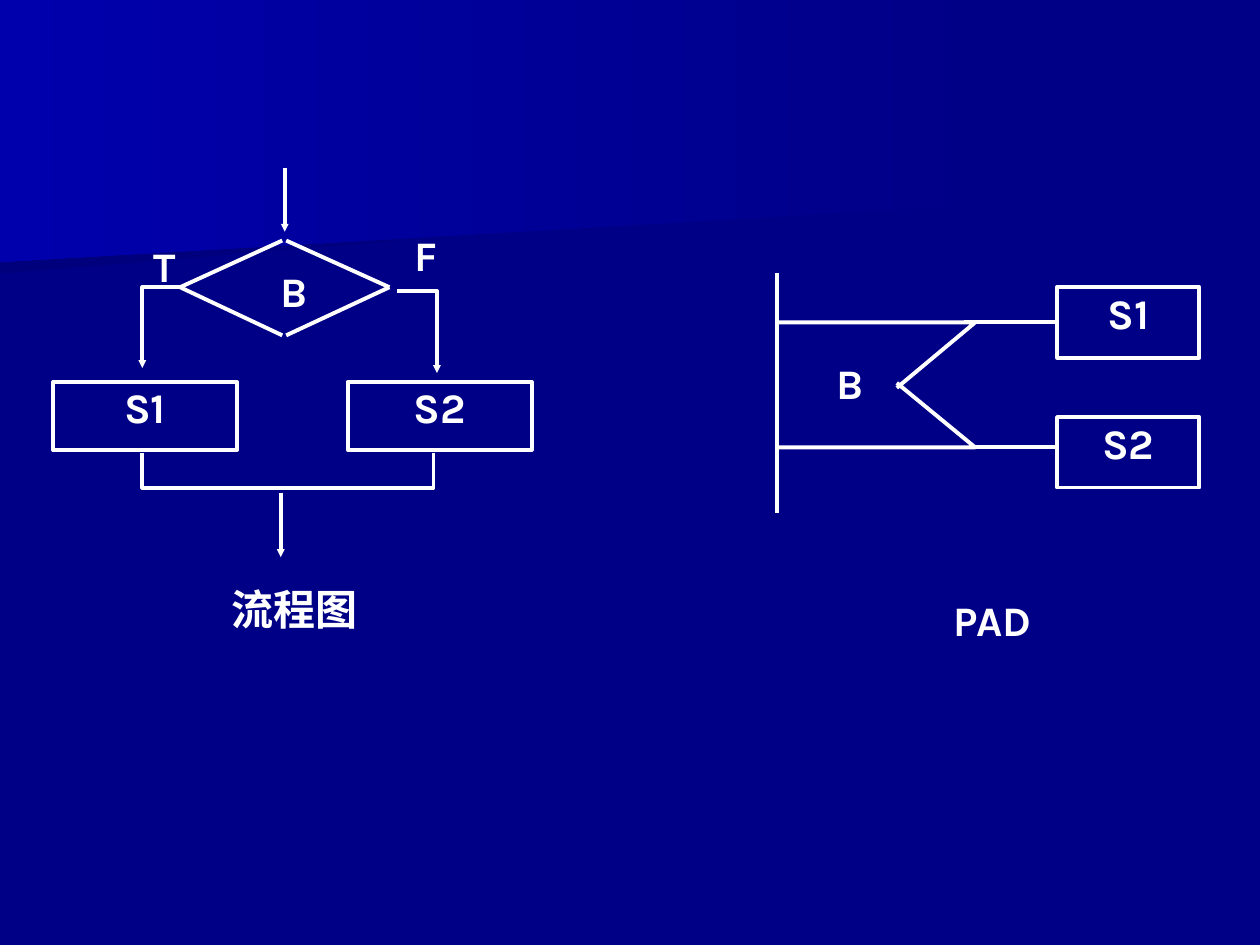
import pptx
import pptx.util
import pptx.dml.color
import pptx.enum.shapes
import pptx.enum.text
import pptx.oxml
import pptx.oxml.ns

Cm = pptx.util.Cm
Pt = pptx.util.Pt
RGB = pptx.dml.color.RGBColor
Align = pptx.enum.text.PP_ALIGN
Fit = pptx.enum.text.MSO_AUTO_SIZE
NAVY = RGB(0x00, 0x00, 0x86)
DARK = RGB(0x00, 0x00, 0x7D)
BLUE = RGB(0x00, 0x00, 0xAC)
WHITE = RGB(0xFF, 0xFF, 0xFF)


def ink(item, arrow=False):
    item.line.color.rgb = WHITE
    item.line.width = Pt(2.25)
    if arrow:
        ln = item.element.spPr.find(pptx.oxml.ns.qn("a:ln"))
        head = pptx.oxml.parse_xml(
            f'<a:tailEnd {pptx.oxml.ns.nsdecls("a")} type="triangle" w="sm" len="sm"/>')
        ln.append(head)


def write(item, text, align, pad=(0, 0)):
    frame = item.text_frame
    frame.word_wrap = True
    frame.vertical_anchor = pptx.enum.text.MSO_ANCHOR.TOP
    frame.margin_left = frame.margin_right = Cm(pad[0])
    frame.margin_top = frame.margin_bottom = Cm(pad[1])
    line = frame.paragraphs[0]
    line.text = text
    line.alignment = align
    line.font.name = "Karla"
    line.font.size = Pt(24)
    line.font.bold = True
    line.font.color.rgb = WHITE


deck = pptx.Presentation()
deck.slide_width, deck.slide_height = Cm(25.4), Cm(19.05)
slide = deck.slides.add_slide(deck.slide_layouts[6])
slide.background.fill.solid()
slide.background.fill.fore_color.rgb = NAVY
shapes = slide.shapes

bands = [
    ([(19.76, 3.89), (0, 5.51), (0, 2.57), (19.79, 2.57), (19.76, 3.25)], DARK),
    ([(20.12, 4.11), (0, 5.28), (0, 0), (20.12, 0)], BLUE),
]
for spots, tone in bands:
    spots = [(Cm(x), Cm(y)) for x, y in spots]
    pen = shapes.build_freeform(*spots[0])
    pen.add_line_segments(spots[1:], close=True)
    band = pen.convert_to_shape()
    band.shadow.inherit = False
    band.line.fill.background()
    band.fill.gradient()
    band.fill.gradient_angle = 180
    for stop, shade, place in zip(band.fill.gradient_stops, (NAVY, tone), (0, 1)):
        stop.color.rgb = shade
        stop.position = place

paths = [
    ([(3.71, 5.79), (2.87, 5.79), (2.87, 7.42)], True),
    ([(8, 5.87), (8.81, 5.87), (8.81, 7.52)], True),
    ([(2.87, 9.14), (2.87, 9.83), (8.74, 9.83), (8.74, 9.14)], False),
    ([(15.67, 9.02), (19.66, 9.02), (18.08, 7.72)], False),
    ([(15.67, 6.5), (19.66, 6.5), (18.08, 7.82)], False),
]
for spots, arrow in paths:
    spots = [(Cm(x), Cm(y)) for x, y in spots]
    pen = shapes.build_freeform(*spots[0])
    pen.add_line_segments(spots[1:], close=False)
    path = pen.convert_to_shape()
    path.shadow.inherit = False
    path.fill.background()
    ink(path, arrow)

boxes = []
for text, x, y, w, h in [
    ("S1", 1.07, 7.7, 3.71, 1.37),
    ("S2", 7.01, 7.7, 3.71, 1.37),
    ("S2", 21.31, 8.41, 2.87, 1.42),
    ("S1", 21.31, 5.79, 2.87, 1.42),
]:
    box = shapes.add_shape(
        pptx.enum.shapes.MSO_SHAPE.RECTANGLE, Cm(x), Cm(y), Cm(w), Cm(h))
    box.shadow.inherit = False
    box.fill.background()
    ink(box)
    write(box, text, Align.CENTER)
    boxes.append(box)

sides = [(top, 4.85 if up else 6.76, end, 5.79, False)
         for up in (True, False) for top, end in ((5.69, 3.63), (5.77, 7.85))]
lines = sides + [
    (5.74, 3.38, 5.74, 4.67, True),
    (5.66, 9.93, 5.66, 11.23, True),
    (15.67, 5.51, 15.67, 10.34, False),
    (19.66, 9.02, 21.31, 9.02, False),
    (19.43, 6.5, 21.31, 6.5, False),
]
for x, y, right, low, arrow in lines:
    link = shapes.add_connector(
        pptx.enum.shapes.MSO_CONNECTOR.STRAIGHT, Cm(x), Cm(y), Cm(right), Cm(low))
    ink(link, arrow)
    link.element.spPr.append(
        pptx.oxml.parse_xml(f'<a:effectLst {pptx.oxml.ns.nsdecls("a")}/>'))
link.end_connect(boxes[-1], 1)

for text, x, y, w, h in [
    ("B", 5.66, 5.36, 0.76, 1.22),
    ("F", 8.36, 4.62, 1.3, 1.47),
    ("T", 3.1, 4.85, 0.84, 1.12),
    ("B", 16.87, 7.21, 1.07, 1.12),
]:
    note = shapes.add_textbox(Cm(x), Cm(y), Cm(w), Cm(h))
    write(note, text, Align.JUSTIFY)

for text, x, y, w in [("PAD", 15.88, 11.86, 8.26), ("流程图", 1.27, 11.63, 9.32)]:
    title = shapes.add_textbox(Cm(x), Cm(y), Cm(w), Cm(1.27))
    write(title, text, Align.CENTER, (0.25, 0.13))
    title.text_frame.auto_size = Fit.SHAPE_TO_FIT_TEXT

deck.save("out.pptx")
